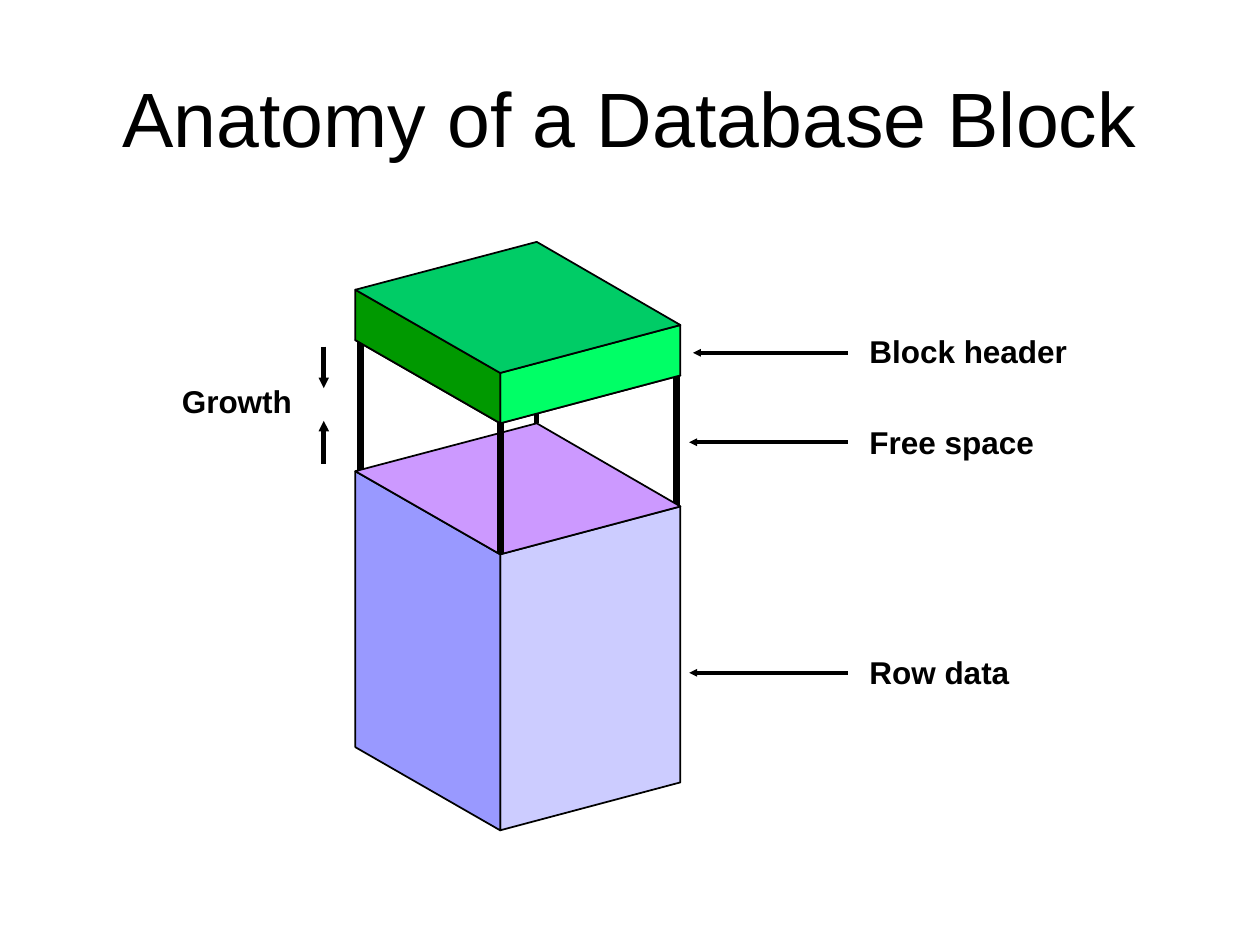
from lxml.etree import SubElement
from pptx import Presentation
from pptx.dml.color import RGBColor
from pptx.enum.shapes import MSO_CONNECTOR
from pptx.enum.text import MSO_ANCHOR, PP_ALIGN
from pptx.oxml.ns import qn
from pptx.util import Inches, Pt

THEME = {
    "font": "Arial", "ink": "000000", "title": 44, "label": 18,
    "edge": 1, "pointer": 2.25, "growth": 3, "back_post": 3, "post": 4,
    "row_right": "CCCCFF", "row_left": "9999FF", "row_top": "CC99FF",
    "header_base": "FFFF66", "header_right": "00FF66",
    "header_left": "009900", "header_top": "00CC66",
}

deck = Presentation()
deck.slide_width, deck.slide_height = Inches(10), Inches(7.5)
slide = deck.slides.add_slide(deck.slide_layouts[6])
COL, ROW = deck.slide_width / 100, deck.slide_height / 75
INK = RGBColor.from_string(THEME["ink"])


def add_text(words, col, row, cols, rows, size, bold, align, wrap=True):
    frame = slide.shapes.add_textbox(
        round(col * COL), round(row * ROW), round(cols * COL), round(rows * ROW)).text_frame
    layout = {"word_wrap": wrap, "vertical_anchor": MSO_ANCHOR.MIDDLE,
              "margin_left": Inches(0.09), "margin_right": Inches(0.09)}
    for key, value in layout.items():
        setattr(frame, key, value)
    paragraph = frame.paragraphs[0]
    paragraph.alignment = align
    run = paragraph.add_run()
    run.text = words
    for key, value in {"name": THEME["font"], "size": Pt(size), "bold": bold}.items():
        setattr(run.font, key, value)
    run.font.color.rgb = INK


def add_line(start, end, weight, arrow=False):
    """Draw a line between two (column, row) points, with an optional arrowhead at end."""
    line = slide.shapes.add_connector(
        MSO_CONNECTOR.STRAIGHT, round(start[0] * COL), round(start[1] * ROW),
        round(end[0] * COL), round(end[1] * ROW))
    line.line.color.rgb = INK
    line.line.width = Pt(weight)
    if arrow:
        SubElement(line.line._get_or_add_ln(), qn("a:tailEnd"), type="triangle", w="sm", len="sm")
    SubElement(line._element.spPr, qn("a:effectLst"))


add_text("Anatomy of a Database Block", 5, 3, 90, 12.5, THEME["title"], False, PP_ALIGN.CENTER)

# Each corner of the block: its column, and its drop in rows below the back corner
CORNERS = {"back": (42.6, 0), "right": (54, 6.6), "front": (39.7, 10.4), "left": (28.2, 3.8)}
# Row of the back corner at each level of the block
LEVELS = {"header_top": 19.2, "header_base": 23.2, "row_top": 33.6, "row_base": 55.5}

# Each pair of posts stands behind the faces that follow it
posts_and_faces = [
    ("post", "left", 0.4, "post"),
    ("post", "right", -0.3, "post"),
    ("side", "right", "row_top", "row_base", "row_right"),
    ("side", "left", "row_top", "row_base", "row_left"),
    ("flat", "row_top"),
    ("post", "front", 0, "post"),
    ("post", "back", 0, "back_post"),
    ("flat", "header_base"),
    ("side", "right", "header_top", "header_base", "header_right"),
    ("side", "left", "header_top", "header_base", "header_left"),
    ("flat", "header_top"),
]
for kind, *part in posts_and_faces:
    if kind == "post":
        corner, inset, weight = part
        col, drop = CORNERS[corner]
        add_line((col + inset, LEVELS["header_base"] + drop),
                 (col + inset, LEVELS["row_top"] + drop), THEME[weight])
        continue
    if kind == "flat":
        color = part[0]
        outline = [(corner, color) for corner in CORNERS]
    else:
        side, top, base, color = part
        outline = [(side, top), (side, base), ("front", base), ("front", top)]
    points = [(round(CORNERS[corner][0] * COL), round((LEVELS[level] + CORNERS[corner][1]) * ROW))
              for corner, level in outline]
    builder = slide.shapes.build_freeform(*points[0])
    builder.add_line_segments(points[1:], close=True)
    face = builder.convert_to_shape()
    face.shadow.inherit = False
    face.fill.solid()
    face.fill.fore_color.rgb = RGBColor.from_string(THEME[color])
    face.line.color.rgb = INK
    face.line.width = Pt(THEME["edge"])

# Label, its top row and width, then the row and tip column of its pointer
for words, row, cols, pointer_row, tip in [
    ("Block header", 25.9, 18.3, 28, 55),
    ("Free space", 33.1, 16.8, 35.1, 54.7),
    ("Row data", 51.4, 13.9, 53.4, 54.7),
]:
    add_text(words, 68.1, row, cols, 3.9, THEME["label"], True, PP_ALIGN.LEFT)
    add_line((67.3, pointer_row), (tip, pointer_row), THEME["pointer"], arrow=True)

add_text("Growth", 13.4, 29.8, 10.8, 4, THEME["label"], True, PP_ALIGN.CENTER, wrap=False)
for start_row, end_row in [(36.8, 33.4), (27.5, 30.8)]:
    add_line((25.7, start_row), (25.7, end_row), THEME["growth"], arrow=True)

deck.save("out.pptx")
